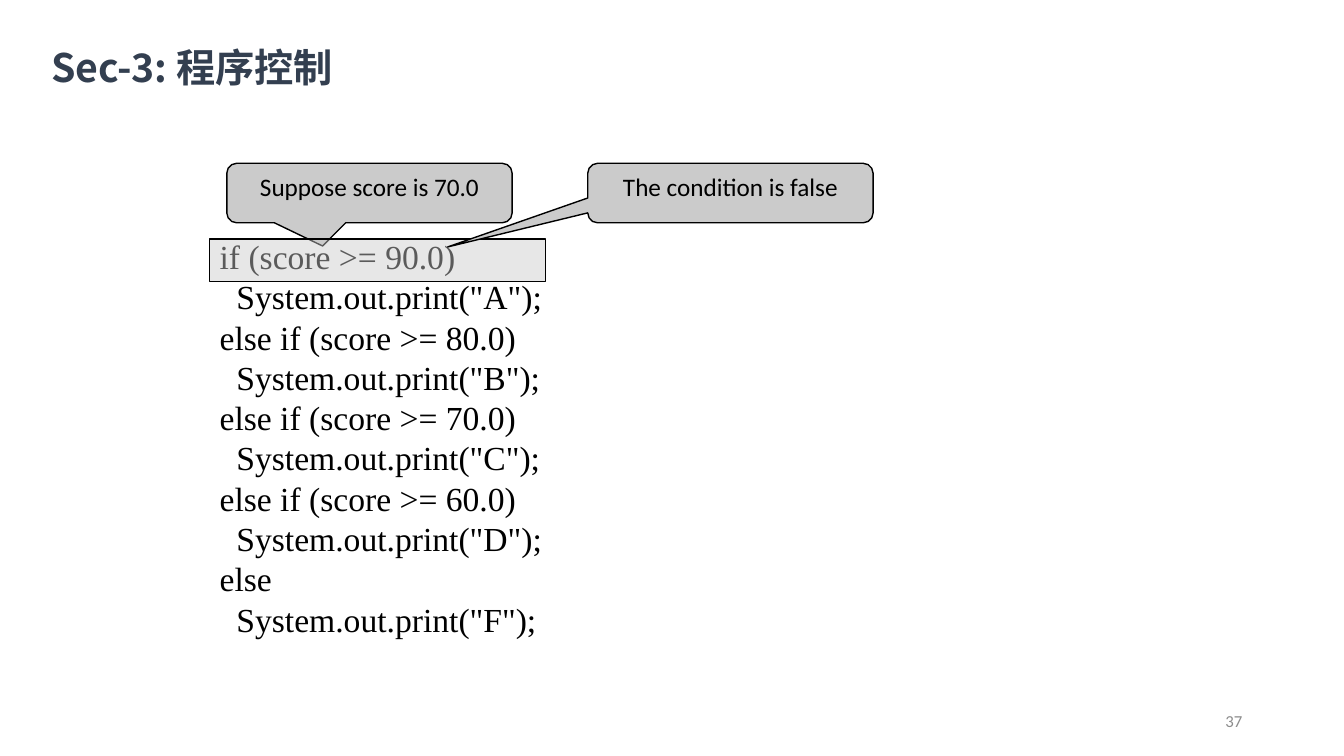
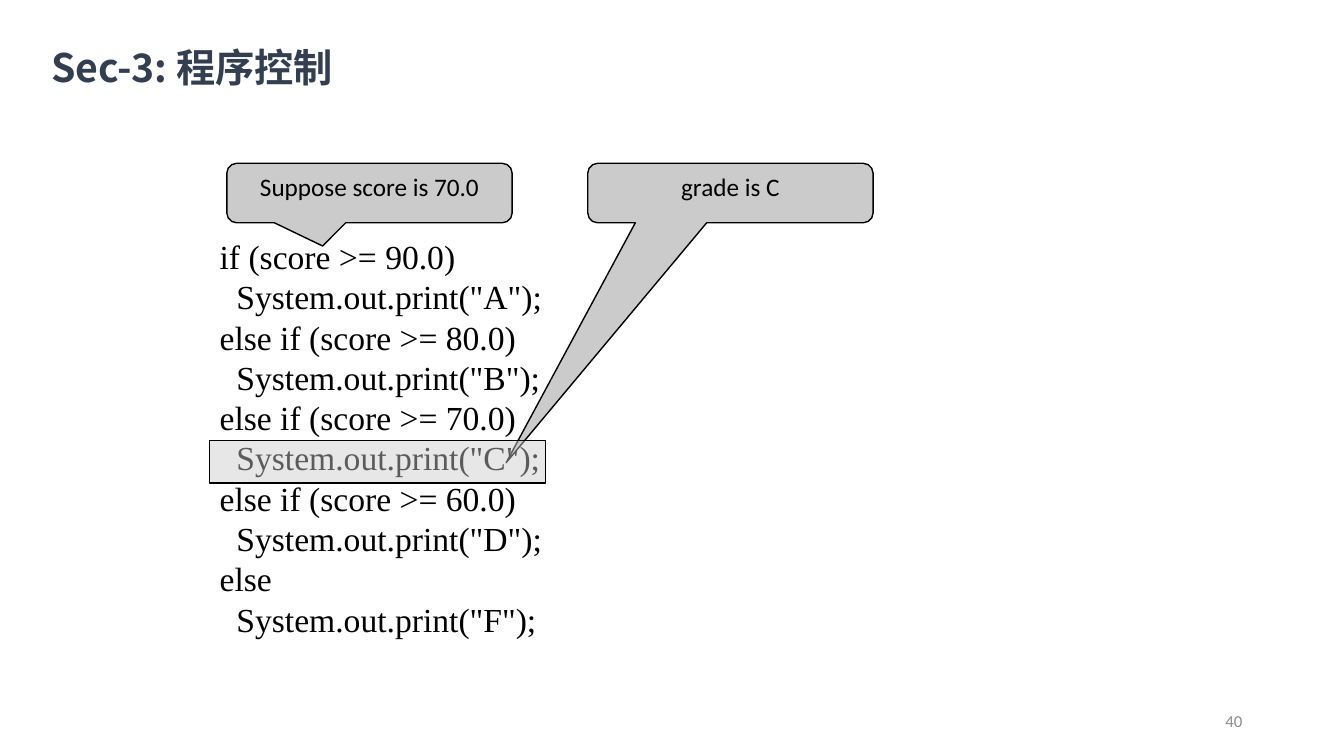
from lxml import etree
from pptx import Presentation, util as u
from pptx.dml.color import RGBColor
from pptx.enum import shapes, text
from pptx.oxml.ns import qn

COLORS = {"title": "333F50", "ink": "000000", "grey": "CBCBCB", "number": "8C8C8C"}
TITLE_FONT, BODY_FONT, CODE_FONT = "Noto Sans CJK SC", "Calibri", "Times New Roman"
TITLE = "Sec-3: 程序控制"
CODE = """if (score >= 90.0)
  System.out.print("A");
else if (score >= 80.0)
  System.out.print("B");
else if (score >= 70.0)
  System.out.print("C");
else if (score >= 60.0)
  System.out.print("D");
else
  System.out.print("F");"""
CODE_BOX = (2.08, 2.29, 3.75, 4.1)
LINE_PITCH = 0.4
SCORE_BOX = (2.25, 1.62, 2.83, 0.59)
RESULT_BOX = (5.83, 1.62, 2.83, 0.59)


def color(name):
    return RGBColor.from_string(COLORS[name])


def write(shape, content, size=18, font=BODY_FONT, ink="ink", bold=False, spacing=0,
          align=text.PP_ALIGN.LEFT, anchor=text.MSO_ANCHOR.TOP, margins=(0.1, 0.05, 0.1, 0.05)):
    """Fill a shape with one paragraph per line of content."""
    frame = shape.text_frame
    frame.word_wrap = True
    frame.vertical_anchor = anchor
    (frame.margin_left, frame.margin_top,
     frame.margin_right, frame.margin_bottom) = map(u.Inches, margins)
    for index, line in enumerate(content.split("\n")):
        paragraph = frame.paragraphs[0] if index == 0 else frame.add_paragraph()
        paragraph.alignment = align
        run = paragraph.add_run()
        run.text = line
        run.font.name, run.font.size, run.font.bold = font, u.Pt(size), bold
        run.font.color.rgb = color(ink)
        properties = run.font._element
        if spacing:
            properties.set("spc", str(round(spacing * 100)))
        east_asian = etree.Element(qn("a:ea"), typeface=font)
        properties.find(qn("a:latin")).addnext(east_asian)


def add_text(slide, box, content, **style):
    write(slide.shapes.add_textbox(*map(u.Inches, box)), content, **style)


def add_panel(slide, kind, box):
    shape = slide.shapes.add_shape(kind, *map(u.Inches, box))
    shape.shadow.inherit = False
    shape.fill.solid()
    shape.fill.fore_color.rgb = color("grey")
    shape.line.color.rgb = color("ink")
    shape.line.width = u.Pt(1)
    return shape


def add_callout(slide, box, content, tip):
    """Callout whose tail ends at the slide position tip."""
    left, top, width, height = box
    shape = add_panel(slide, shapes.MSO_SHAPE.ROUNDED_RECTANGULAR_CALLOUT, box)
    shape.adjustments[0] = (tip[0] - left) / width - 0.5
    shape.adjustments[1] = (tip[1] - top) / height - 0.5
    write(shape, content, align=text.PP_ALIGN.CENTER)


def add_highlight(slide, box, row):
    """Translucent bar over one line of the code box."""
    left, top = box[:2]
    bar = add_panel(slide, shapes.MSO_SHAPE.RECTANGLE,
                    (left, top + 0.08 + row * LINE_PITCH, 3.33, 0.42))
    fill_color = bar._element.spPr.find(qn("a:solidFill")).find(qn("a:srgbClr"))
    etree.SubElement(fill_color, qn("a:alpha"), val="45000")


def add_frame(slide, number):
    # Title and page number
    add_text(slide, (0.5, 0.42, 6.48, 0.48), TITLE, size=28, font=TITLE_FONT, ink="title",
             bold=True, spacing=-0.1, margins=(0.01, 0.01, 0, 0))
    add_text(slide, (9.42, 6.95, 3, 0.4), str(number), size=12, ink="number",
             align=text.PP_ALIGN.RIGHT, anchor=text.MSO_ANCHOR.MIDDLE)


def add_trace_slide(presentation, number, row, result, tip, tail_on_top):
    """One step of the trace: highlighted code line and its outcome."""
    slide = presentation.slides.add_slide(presentation.slide_layouts[6])
    add_frame(slide, number)
    add_text(slide, CODE_BOX, CODE, size=24, font=CODE_FONT)
    add_callout(slide, SCORE_BOX, "Suppose score is 70.0", (3.2, 2.44))
    # The result tail lies above or below the highlight
    if tail_on_top:
        add_highlight(slide, CODE_BOX, row)
    add_callout(slide, RESULT_BOX, result, tip)
    if not tail_on_top:
        add_highlight(slide, CODE_BOX, row)


def main():
    presentation = Presentation()
    presentation.slide_width, presentation.slide_height = u.Inches(13.33), u.Inches(7.5)
    add_trace_slide(presentation, 37, 0, "The condition is false", (4.44, 2.45), True)
    add_trace_slide(presentation, 40, 5, "grade is C", (5.02, 4.59), False)
    presentation.save("out.pptx")


if __name__ == "__main__":
    main()
